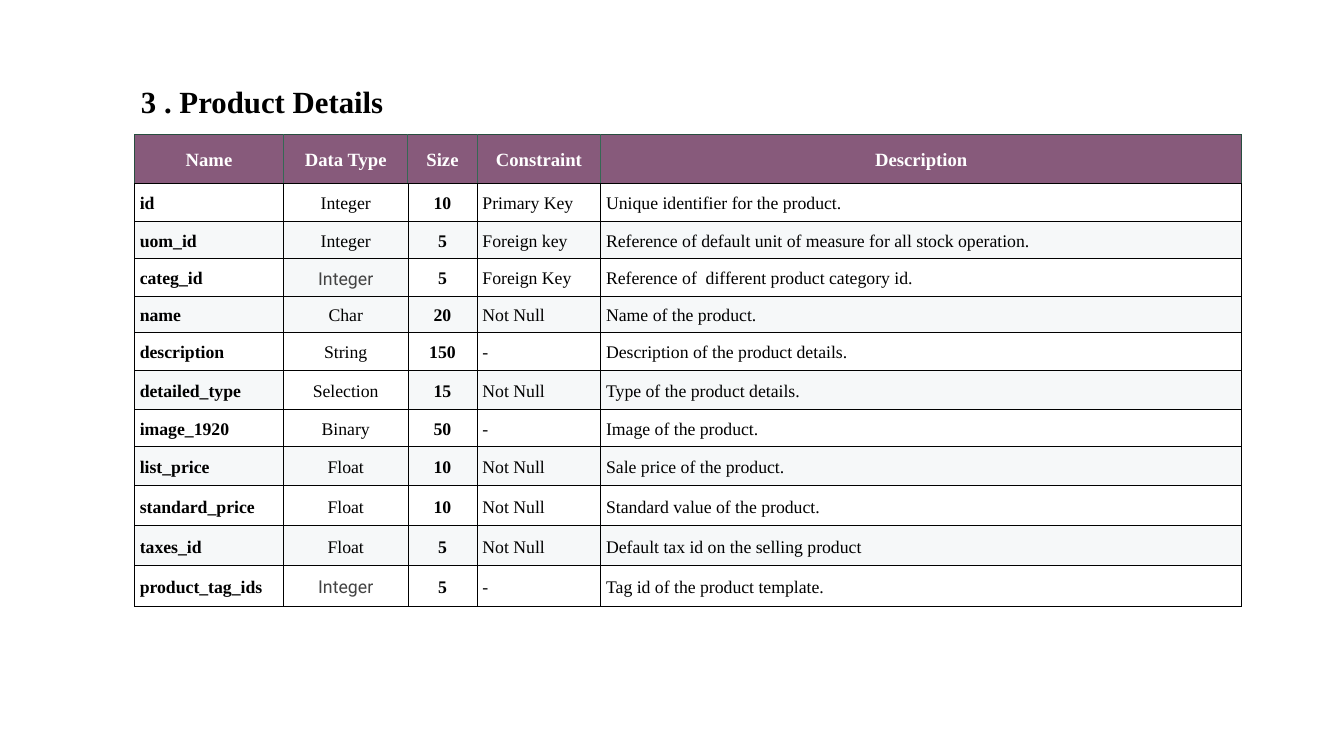
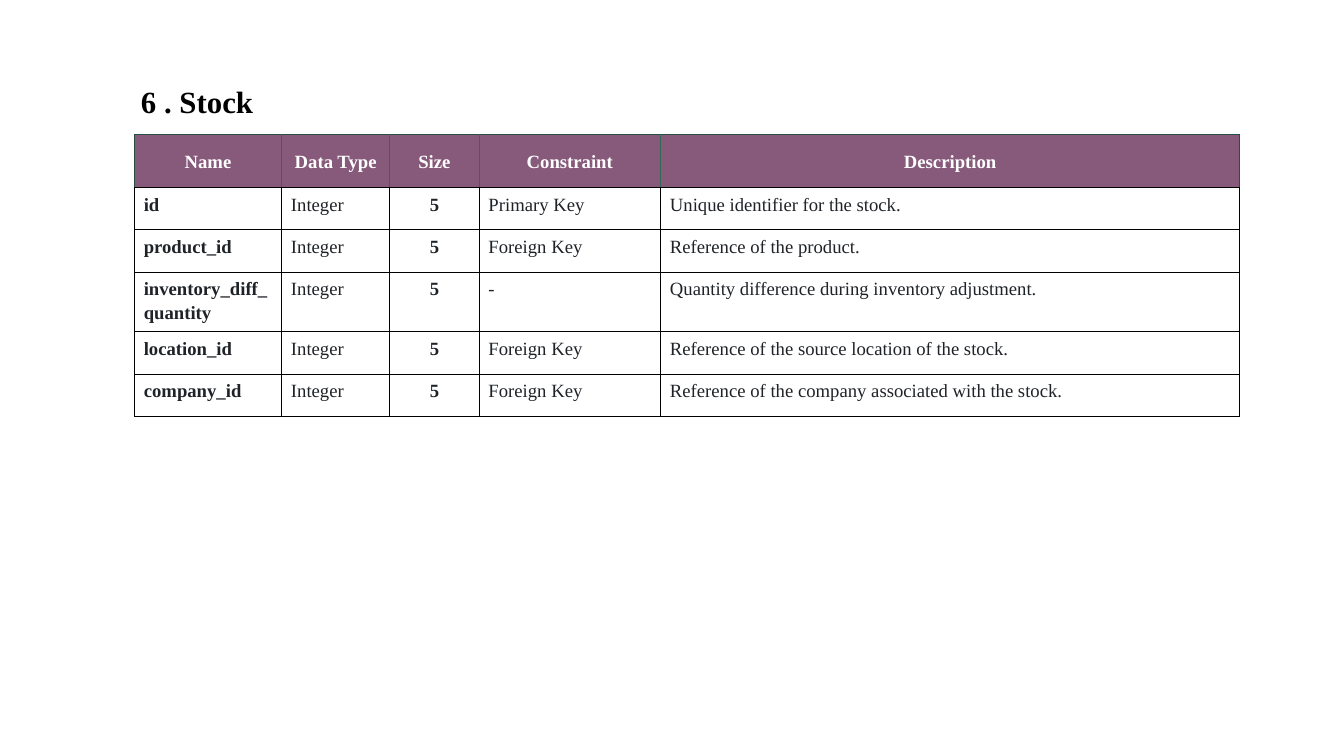
from lxml import etree
from pptx import Presentation
from pptx.dml.color import RGBColor
from pptx.enum import text
from pptx.oxml import ns
from pptx.util import Inches, Pt

PURPLE = RGBColor(0x87, 0x5A, 0x7B)
WHITE = RGBColor(0xFF, 0xFF, 0xFF)
PALE = RGBColor(0xF6, 0xF8, 0xF9)
BLACK = RGBColor(0x00, 0x00, 0x00)
INK = RGBColor(0x1F, 0x23, 0x28)
GREY = RGBColor(0x43, 0x43, 0x43)
DARK_GREEN = RGBColor(0x28, 0x4E, 0x3F)
GREEN = RGBColor(0x35, 0x68, 0x54)

SERIF = "Times New Roman"
SANS = "Roboto"
LEFT = 2
TABLE_TOP = 2
HEADINGS = ("Name", "Data Type", "Size", "Constraint", "Description")
BOLD_COLUMNS = (0, 2)
HEADER_MARGINS = (0.08, 0.02)
ROOMY_MARGINS = (0.14, 0.06)

PRODUCT_WIDTHS = (2.22, 1.85, 1.03, 1.84, 9.54)
PRODUCT_HEIGHTS = (0.73, 0.56, 0.56, 0.56, 0.54, 0.56, 0.59, 0.55, 0.58, 0.59, 0.6, 0.61)
PRODUCT_ROWS = (
    ("id", "Integer", "10", "Primary Key", "Unique identifier for the product."),
    ("uom_id", "Integer", "5", "Foreign key",
     "Reference of default unit of measure for all stock operation."),
    ("categ_id", "Integer", "5", "Foreign Key", "Reference of  different product category id."),
    ("name", "Char", "20", "Not Null", "Name of the product."),
    ("description", "String", "150", "-", "Description of the product details."),
    ("detailed_type", "Selection", "15", "Not Null", "Type of the product details."),
    ("image_1920", "Binary", "50", "-", "Image of the product."),
    ("list_price", "Float", "10", "Not Null", "Sale price of the product."),
    ("standard_price", "Float", "10", "Not Null", "Standard value of the product."),
    ("taxes_id", "Float", "5", "Not Null", "Default tax id on the selling product"),
    ("product_tag_ids", "Integer", "5", "-", "Tag id of the product template."),
)
SANS_TYPES = ("categ_id", "product_tag_ids")
SWAPPED_TYPE_FILLS = {"categ_id": PALE, "detailed_type": WHITE}

STOCK_WIDTHS = (2.19, 1.61, 1.33, 2.7, 8.62)
STOCK_HEIGHTS = (0.79,) + (0.63,) * 5
STOCK_ROWS = (
    ("id", "Integer", "5", "Primary Key", "Unique identifier for the stock."),
    ("product_id", "Integer", "5", "Foreign Key", "Reference of the product."),
    ("inventory_diff_quantity", "Integer", "5", "-",
     "Quantity difference during inventory adjustment."),
    ("location_id", "Integer", "5", "Foreign Key",
     "Reference of the source location of the stock."),
    ("company_id", "Integer", "5", "Foreign Key",
     "Reference of the company associated with the stock."),
)


class DictionaryDeck:
    def __init__(self):
        self.deck = Presentation()
        self.deck.slide_width = Inches(20)
        self.deck.slide_height = Inches(11.25)
        self.page = None

    def add_page(self, title, title_height):
        self.page = self.deck.slides.add_slide(self.deck.slide_layouts[6])
        self.page.background.fill.solid()
        self.page.background.fill.fore_color.rgb = WHITE
        box = self.page.shapes.add_textbox(
            Inches(LEFT), Inches(1.13), Inches(4.7), Inches(title_height))
        frame = box.text_frame
        frame.word_wrap = True
        frame.margin_left = frame.margin_right = Inches(0.1)
        frame.margin_top = frame.margin_bottom = Inches(0.1)
        frame.text = title
        self.style_text(frame.paragraphs[0], 33, BLACK, True)

    def style_text(self, para, size, color, bold, font=SERIF):
        for span in para.runs:
            span.font.name = font
            span.font.size = Pt(size)
            span.font.bold = bold
            span.font.color.rgb = color

    def add_table(self, widths, heights, rows, line, header_line):
        frame = self.page.shapes.add_table(
            len(heights), len(widths), Inches(LEFT), Inches(TABLE_TOP),
            Inches(sum(widths)), Inches(sum(heights)))
        table = frame.table
        table.first_row = table.horz_banding = False
        for column, width in zip(table.columns, widths):
            column.width = Inches(width)
        for row, height in zip(table.rows, heights):
            row.height = Inches(height)
        last = len(HEADINGS) - 1
        for index, heading in enumerate(HEADINGS):
            cell = table.cell(0, index)
            self.set_borders(cell, {
                "L": (GREEN if index else DARK_GREEN, header_line),
                "R": (GREEN if index < last else DARK_GREEN, header_line),
                "T": (DARK_GREEN, header_line),
                "B": (BLACK, line)})
            self.fill_cell(cell, heading, HEADER_MARGINS, True, PURPLE)
            self.style_text(cell.text_frame.paragraphs[0], 20, WHITE, True)
        for number, values in enumerate(rows, 1):
            for index in range(len(values)):
                self.set_borders(table.cell(number, index),
                                 dict.fromkeys("LRTB", (BLACK, line)))
        return table

    def set_borders(self, cell, borders):
        properties = cell._tc.get_or_add_tcPr()
        for side, (color, width) in borders.items():
            edge = etree.SubElement(properties, ns.qn(f"a:ln{side}"), w=str(Pt(width)))
            fill = etree.SubElement(edge, ns.qn("a:solidFill"))
            etree.SubElement(fill, ns.qn("a:srgbClr"), val=str(color))

    def fill_cell(self, cell, value, margins, centered, color=None, middle=True):
        cell.margin_left = cell.margin_right = Inches(margins[0])
        cell.margin_top = cell.margin_bottom = Inches(margins[1])
        cell.vertical_anchor = text.MSO_ANCHOR.MIDDLE if middle else text.MSO_ANCHOR.TOP
        if color is None:
            cell.fill.background()
        else:
            cell.fill.solid()
            cell.fill.fore_color.rgb = color
        cell.text_frame.text = value
        para = cell.text_frame.paragraphs[0]
        para.line_spacing = 1.15
        para.alignment = text.PP_ALIGN.CENTER if centered else text.PP_ALIGN.LEFT

    def add_product_table(self):
        table = self.add_table(PRODUCT_WIDTHS, PRODUCT_HEIGHTS, PRODUCT_ROWS, 0.94, 1)
        for number, values in enumerate(PRODUCT_ROWS, 1):
            band = WHITE if number % 2 else PALE
            for index, value in enumerate(values):
                cell = table.cell(number, index)
                is_type = index == 1
                color = SWAPPED_TYPE_FILLS.get(values[0], band) if is_type else band
                sans = is_type and values[0] in SANS_TYPES
                self.fill_cell(cell, value, HEADER_MARGINS, index in (1, 2), color)
                self.style_text(cell.text_frame.paragraphs[0], 19, GREY if sans else BLACK,
                                index in BOLD_COLUMNS, SANS if sans else SERIF)

    def add_stock_table(self):
        table = self.add_table(STOCK_WIDTHS, STOCK_HEIGHTS, STOCK_ROWS, 0.75, 1.13)
        for number, values in enumerate(STOCK_ROWS, 1):
            for index, value in enumerate(values):
                cell = table.cell(number, index)
                self.fill_cell(cell, value, ROOMY_MARGINS, index == 2, middle=False)
                self.style_text(cell.text_frame.paragraphs[0], 20, INK, index in BOLD_COLUMNS)


def main():
    dictionary = DictionaryDeck()
    dictionary.add_page("3 . Product Details", 0.71)
    dictionary.add_product_table()
    dictionary.add_page("6 . Stock", 0.57)
    dictionary.add_stock_table()
    dictionary.deck.save("out.pptx")


if __name__ == "__main__":
    main()
